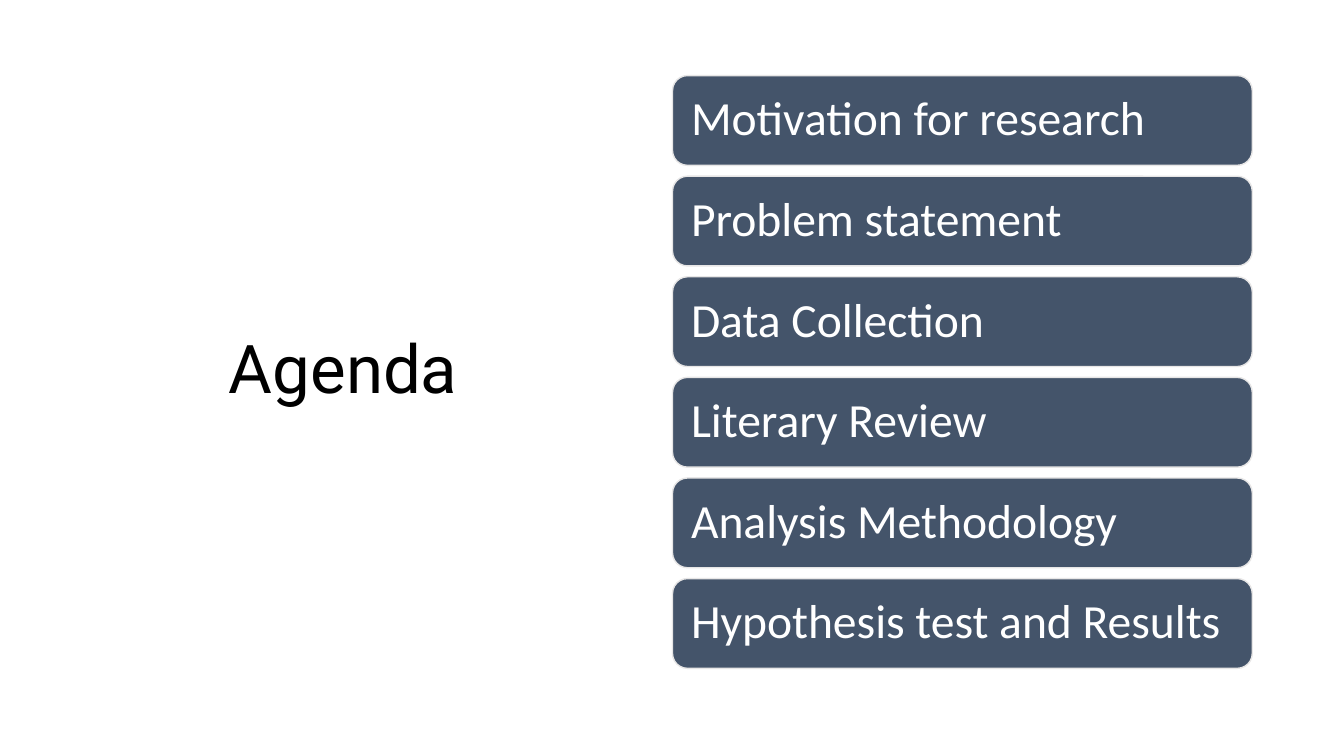
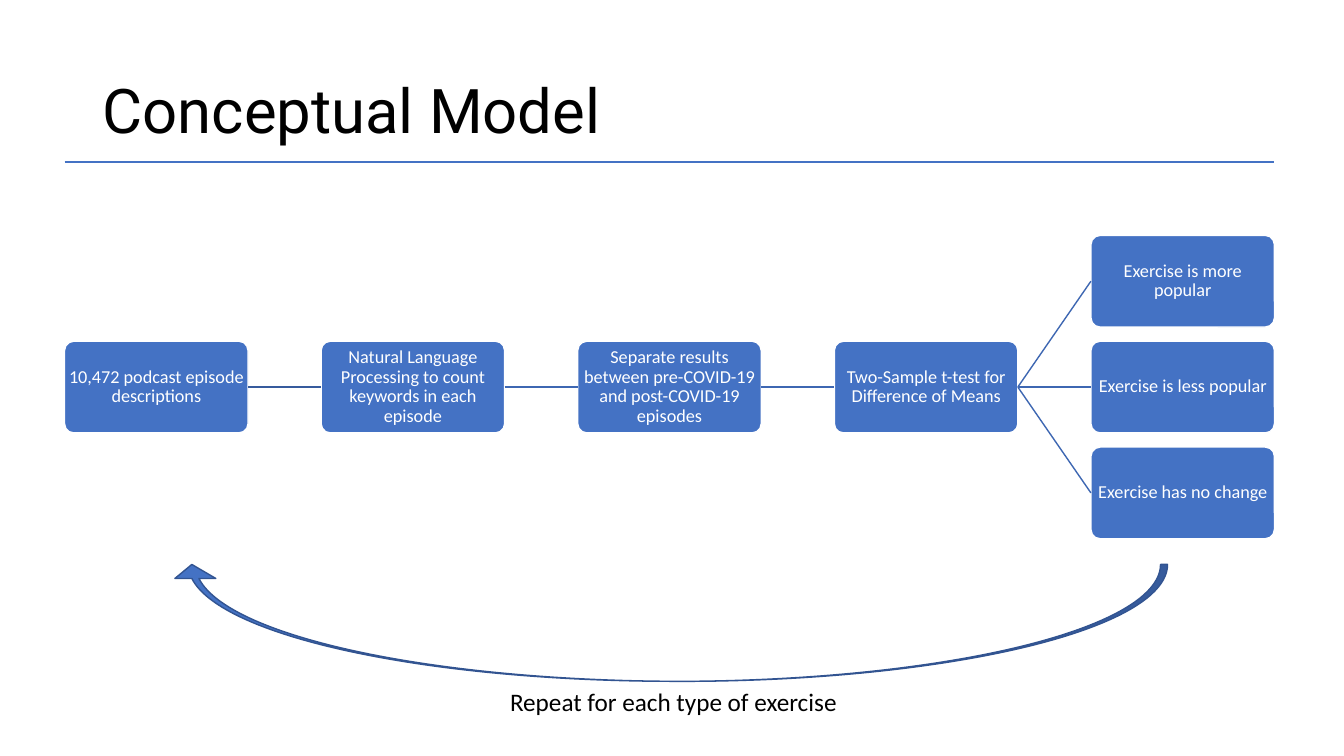
"""Build the agenda and conceptual model slides."""
from itertools import product

from lxml import etree
from pptx import Presentation
from pptx.dml.color import RGBColor
from pptx.enum import shapes, text
from pptx.oxml.ns import qn
from pptx.util import Pt

PX = 9144
COLORS = {
    "black": "000000", "white": "FFFFFF", "slate": "44546A", "pale": "E7E6E6",
    "blue": "4472C4", "first_link": "365B9D", "link": "3E67B2", "arrow_edge": "325491",
}
BODY_FONT, TITLE_FONT = "Calibri", "Roboto"
LEFT, CENTER = text.PP_ALIGN.LEFT, text.PP_ALIGN.CENTER

AGENDA = [
    "Motivation for research",
    "Problem statement",
    "Data Collection",
    "Literary Review",
    "Analysis Methodology",
    "Hypothesis test and Results",
]
AGENDA_LEFT, AGENDA_TOP, AGENDA_BOTTOM = 667, 75, 663
AGENDA_WIDTH, AGENDA_HEIGHT = 575, 89

FLOW = [
    ["10,472 podcast episode descriptions"],
    ["Natural Language Processing to count keywords in each episode"],
    ["Separate results between pre-COVID-19 and post-COVID-19 episodes"],
    ["Two-Sample t-test for Difference of Means"],
    ["Exercise is more popular", "Exercise is less popular", "Exercise has no change"],
]
FLOW_LEFT, FLOW_RIGHT, FLOW_MIDDLE = 64, 1264, 384
STEP_WIDTH, STEP_HEIGHT, STEP_GAP = 182, 91, 14


def rgb(name):
    return RGBColor.from_string(COLORS[name])


def emu(*lengths):
    return [round(length * PX) for length in lengths]


def write(shape, words, size, color, font=BODY_FONT, align=LEFT, spacing=0.9):
    frame = shape.text_frame
    frame.word_wrap = True
    frame.vertical_anchor = text.MSO_ANCHOR.MIDDLE
    paragraph = frame.paragraphs[0]
    paragraph.text = words
    paragraph.alignment = align
    paragraph.line_spacing = spacing
    paragraph.font.size = Pt(size)
    paragraph.font.name = font
    paragraph.font.color.rgb = rgb(color)


def add_label(slide, box, words, size, **style):
    write(slide.shapes.add_textbox(*emu(*box)), words, size, "black", **style)


def add_title(slide, box, words, size, align=LEFT):
    add_label(slide, box, words, size, font=TITLE_FONT, align=align)


def add_figure(slide, kind, box, fill, line):
    shape = slide.shapes.add_shape(kind, *emu(*box))
    shape.shadow.inherit = False
    shape.fill.solid()
    shape.fill.fore_color.rgb = rgb(fill)
    shape.line.color.rgb = rgb(line)
    shape.line.width = Pt(1)
    return shape


def add_card(slide, box, words, size, fill, line, margin, align=LEFT):
    card = add_figure(slide, shapes.MSO_SHAPE.ROUNDED_RECTANGLE, box, fill, line)
    frame = card.text_frame
    frame.margin_left = frame.margin_right = margin * PX
    frame.margin_top = frame.margin_bottom = margin * PX
    write(card, words, size, "white", align=align)
    return card


def add_line(slide, ends, color, width):
    line = slide.shapes.add_connector(shapes.MSO_CONNECTOR.STRAIGHT, *emu(*ends))
    line.line.color.rgb = rgb(color)
    line.line.width = Pt(width)
    etree.SubElement(line._element.spPr, qn("a:effectLst"))
    return line


def build_agenda(slide):
    add_title(slide, (57, 68, 567, 602), "Agenda", 48, CENTER)
    pitch = (AGENDA_BOTTOM - AGENDA_TOP - AGENDA_HEIGHT) / (len(AGENDA) - 1)
    for index, words in enumerate(AGENDA):
        box = (AGENDA_LEFT, AGENDA_TOP + index * pitch, AGENDA_WIDTH, AGENDA_HEIGHT)
        add_card(slide, box, words, 34, "slate", "pale", 14)


def add_flow(slide):
    column_pitch = (FLOW_RIGHT - FLOW_LEFT - STEP_WIDTH) / (len(FLOW) - 1)
    row_pitch = STEP_HEIGHT + STEP_GAP
    previous = []
    for column, steps in enumerate(FLOW):
        left = FLOW_LEFT + column * column_pitch
        top = FLOW_MIDDLE - ((len(steps) - 1) * row_pitch + STEP_HEIGHT) / 2
        cards = []
        for row, words in enumerate(steps):
            box = (left, top + row * row_pitch, STEP_WIDTH, STEP_HEIGHT)
            card = add_card(slide, box, words, 13, "blue", "white", 1, CENTER)
            card.adjustments[0] = 0.1
            cards.append(card)
        for source, target in product(previous, cards):
            link = add_line(slide, (0, 0, 0, 0), "first_link" if column == 1 else "link", 1)
            link.begin_connect(source, 3)
            link.end_connect(target, 1)
        previous = cards


def build_model(slide):
    add_title(slide, (92, 40, 1150, 145), "Conceptual Model", 44)
    add_line(slide, (FLOW_LEFT, 161, FLOW_RIGHT, 161), "blue", 1.5)
    add_flow(slide)
    arrow = add_figure(slide, shapes.MSO_SHAPE.CURVED_UP_ARROW, (170, 560, 988, 116),
                       "blue", "arrow_edge")
    for index, value in enumerate((0.06, 0.35, 0.12)):
        arrow.adjustments[index] = value
    arrow._element.spPr.find(qn("a:xfrm")).set("flipH", "1")
    add_label(slide, (496, 676, 371, 40), "Repeat for each type of exercise", 18, spacing=1.0)


def main():
    presentation = Presentation()
    presentation.slide_width, presentation.slide_height = emu(1333, 750)
    for build in (build_agenda, build_model):
        build(presentation.slides.add_slide(presentation.slide_layouts[6]))
    presentation.save("out.pptx")


if __name__ == "__main__":
    main()
